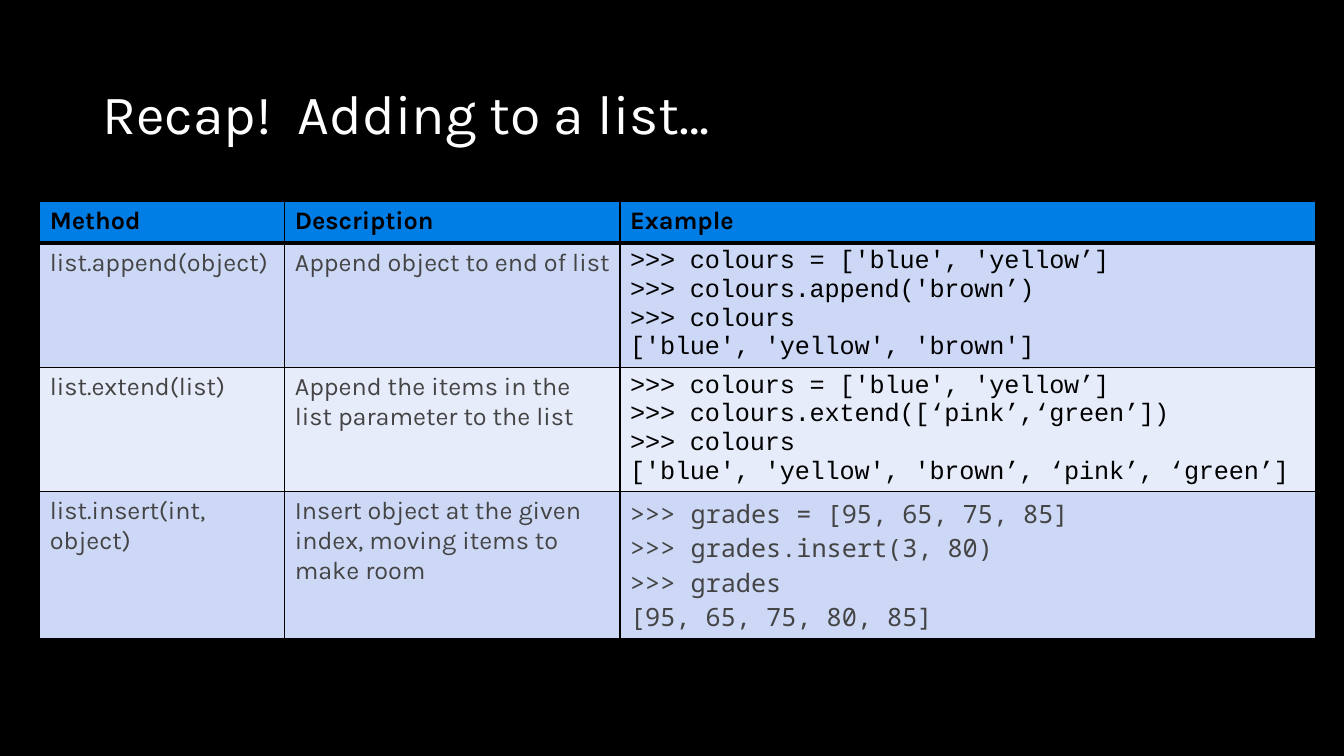
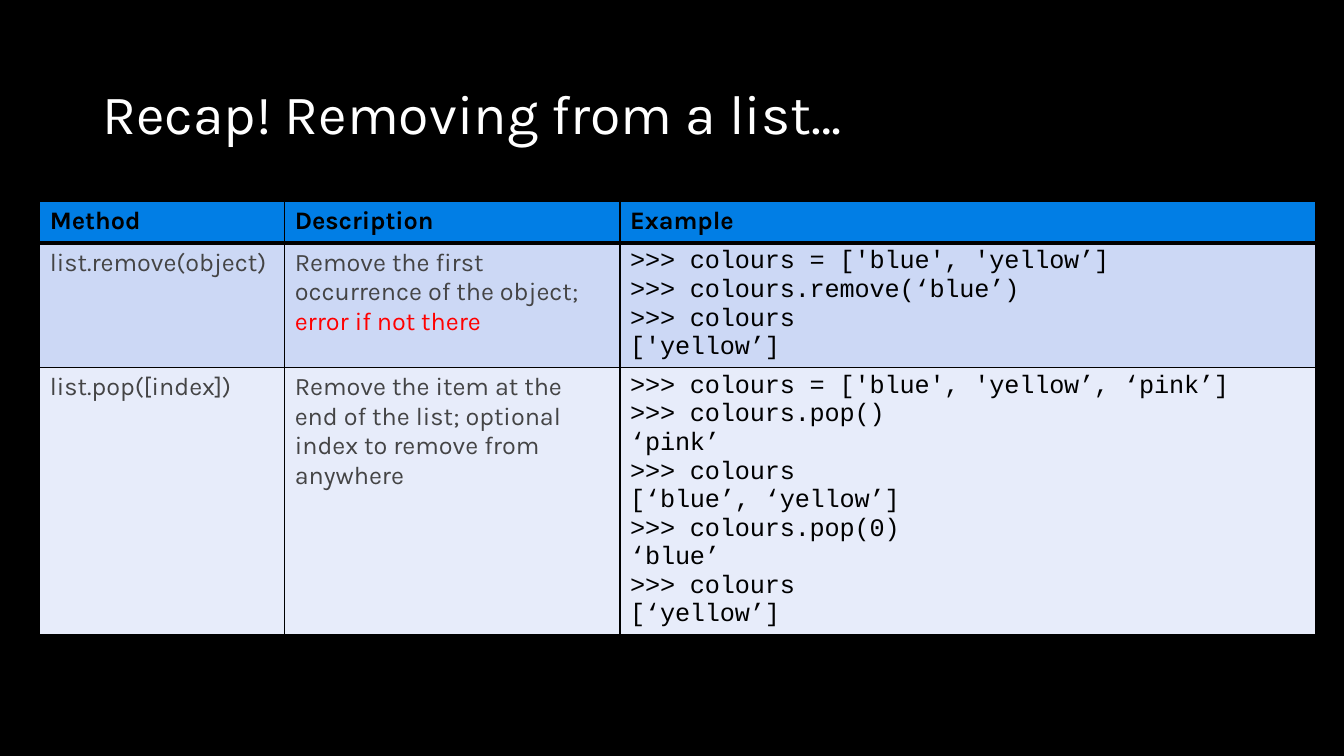
from lxml import etree
from pptx import Presentation
from pptx.dml.color import RGBColor
from pptx.enum import text
from pptx.oxml import ns
from pptx.util import Pt

BLACK = RGBColor(0x00, 0x00, 0x00)
WHITE = RGBColor(0xFF, 0xFF, 0xFF)
GREY = RGBColor(0x44, 0x44, 0x45)
RED = RGBColor(0xFF, 0x00, 0x00)
HEADER_BLUE = RGBColor(0x01, 0x7E, 0xE5)
BANDS = [RGBColor(0xCC, 0xD8, 0xF5), RGBColor(0xE7, 0xEC, 0xFA)]

BODY_FONT = "Karla"
CODE_FONT = "Courier New"
MONO_FONT = "Noto Sans Mono"

HEADINGS = ["Method", "Description", "Example"]
COLUMN_WIDTHS = [175, 239.5, 496.5]
ROW_HEIGHT = 29.5

SLIDES = [
    ("Recap!  Adding to a list…", 310, [
        ("list.append(object)", [("Append object to end of list", GREY)], CODE_FONT, [
            ">>> colours = ['blue', 'yellow’]",
            ">>> colours.append('brown’)",
            ">>> colours",
            "['blue', 'yellow', 'brown']",
        ]),
        ("list.extend(list)",
         [("Append the items in the list parameter to the list", GREY)], CODE_FONT, [
            ">>> colours = ['blue', 'yellow’]",
            ">>> colours.extend([‘pink’,‘green’])",
            ">>> colours",
            "['blue', 'yellow', 'brown’, ‘pink’, ‘green’]",
        ]),
        ("list.insert(int, object)",
         [("Insert object at the given index, moving items to make room", GREY)], MONO_FONT, [
            ">>> grades = [95, 65, 75, 85]",
            ">>> grades.insert(3, 80)",
            ">>> grades",
            "[95, 65, 75, 80, 85]",
        ]),
    ]),
    ("Recap! Removing from a list…", 325, [
        ("list.remove(object)",
         [("Remove the first occurrence of the object; ", GREY),
          ("error if not there", RED)], CODE_FONT, [
            ">>> colours = ['blue', 'yellow’]",
            ">>> colours.remove(‘blue’)",
            ">>> colours",
            "['yellow’]",
        ]),
        ("list.pop([index])",
         [("Remove the item at the end of the list; optional index to remove from anywhere",
           GREY)], CODE_FONT, [
            ">>> colours = ['blue', 'yellow’, ‘pink’]",
            ">>> colours.pop()",
            "‘pink’",
            ">>> colours",
            "[‘blue’, ‘yellow’]",
            ">>> colours.pop(0)",
            "‘blue’",
            ">>> colours",
            "[‘yellow’]",
        ]),
    ]),
]


def add_run(paragraph, words, font_name, size, color, bold=False):
    run = paragraph.add_run()
    run.text = words
    run.font.name = font_name
    run.font.size = Pt(size)
    run.font.color.rgb = color
    run.font.bold = bold
    return run


def style_cell(cell, fill_color, top=1, bottom=1):
    properties = cell._tc.get_or_add_tcPr()
    for side, width in (("L", 1), ("R", 1), ("T", top), ("B", bottom)):
        line = etree.SubElement(properties, ns.qn(f"a:ln{side}"), w=str(Pt(width)))
        fill = etree.SubElement(line, ns.qn("a:solidFill"))
        etree.SubElement(fill, ns.qn("a:srgbClr"), val=str(BLACK))
    cell.fill.solid()
    cell.fill.fore_color.rgb = fill_color


presentation = Presentation()
presentation.slide_width = Pt(960)
presentation.slide_height = Pt(540)
background = presentation.slide_master.background.fill
background.solid()
background.fore_color.rgb = BLACK
title_only = presentation.slide_layouts[5]

for heading, table_height, methods in SLIDES:
    slide = presentation.slides.add_slide(title_only)

    title = slide.shapes.title
    title.left, title.top, title.width, title.height = Pt(66), Pt(57.5), Pt(828), Pt(52)
    frame = title.text_frame
    frame.auto_size = text.MSO_AUTO_SIZE.NONE
    frame.vertical_anchor = text.MSO_ANCHOR.MIDDLE
    paragraph = frame.paragraphs[0]
    paragraph.alignment = text.PP_ALIGN.LEFT
    paragraph.line_spacing = 0.9
    add_run(paragraph, heading, BODY_FONT, 39.6, WHITE)

    shape = slide.shapes.add_table(len(methods) + 1, len(HEADINGS), Pt(28.4), Pt(144),
                                   Pt(sum(COLUMN_WIDTHS)), Pt(table_height))
    table = shape.table
    for column, width in zip(table.columns, COLUMN_WIDTHS):
        column.width = Pt(width)
    for row in table.rows:
        row.height = Pt(ROW_HEIGHT)
    shape.height = Pt(table_height)

    for cell, label in zip(table.rows[0].cells, HEADINGS):
        style_cell(cell, HEADER_BLUE, bottom=3)
        add_run(cell.text_frame.paragraphs[0], label, BODY_FONT, 18, BLACK, bold=True)

    for index, (method, description, code_font, code) in enumerate(methods):
        cells = list(table.rows[index + 1].cells)
        for cell in cells:
            style_cell(cell, BANDS[index % 2], top=1 if index else 3)

        method_cell, description_cell, example_cell = cells
        add_run(method_cell.text_frame.paragraphs[0], method, BODY_FONT, 18, GREY)
        for words, color in description:
            add_run(description_cell.text_frame.paragraphs[0], words, BODY_FONT, 18, color)

        frame = example_cell.text_frame
        for number, code_line in enumerate(code):
            paragraph = frame.add_paragraph() if number else frame.paragraphs[0]
            color = BLACK if code_font == CODE_FONT else GREY
            run = add_run(paragraph, code_line, code_font, 18, color)
            if code_font == CODE_FONT:
                run.font._element.set("spc", "-10")

presentation.save("out.pptx")
